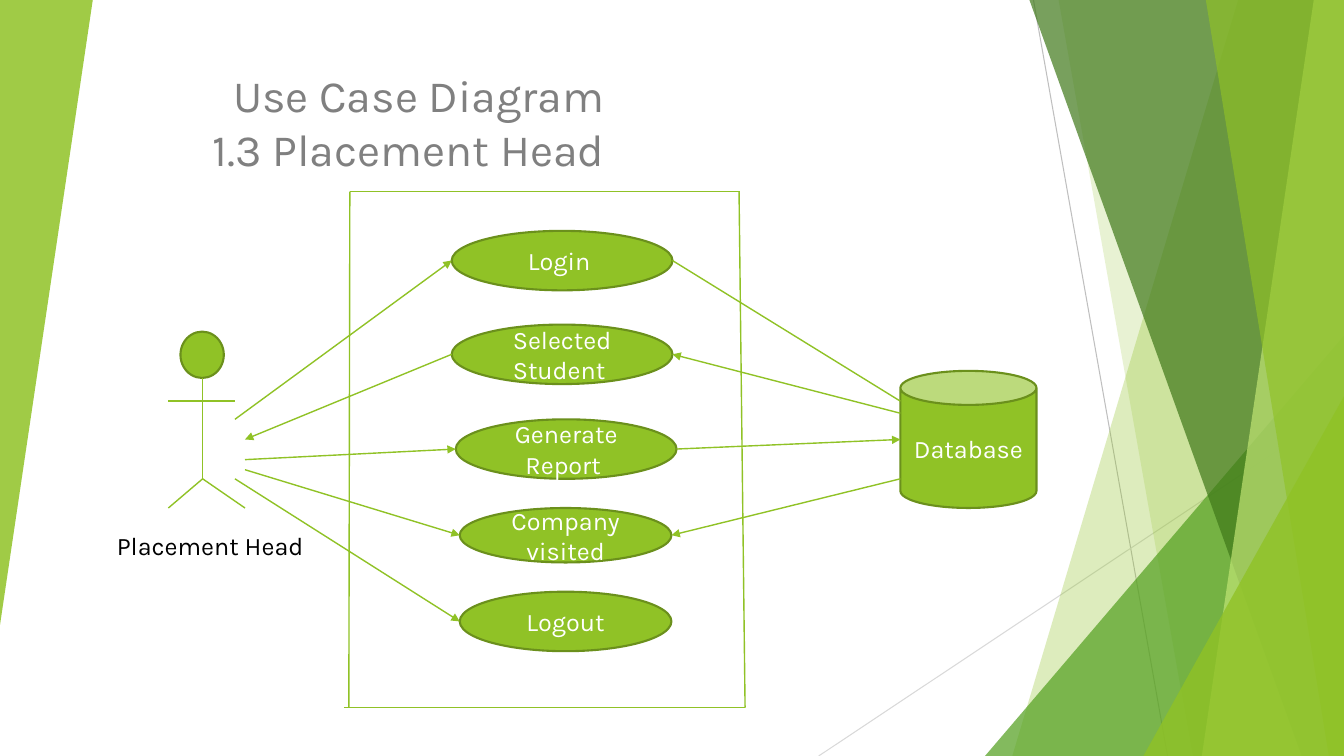
from dataclasses import dataclass
from typing import NamedTuple, Optional

from lxml import etree
from pptx import Presentation
from pptx.dml.color import RGBColor
from pptx.enum.shapes import MSO_CONNECTOR as Conn, MSO_SHAPE as Shape
from pptx.enum.text import MSO_ANCHOR as Anchor, MSO_AUTO_SIZE as Auto, PP_ALIGN as Align
from pptx.oxml.ns import qn
from pptx.util import Inches, Pt

LIME = RGBColor(0x90, 0xC2, 0x26)
LIME_DARK = RGBColor(0x6B, 0x90, 0x1C)
LIME_PALE = RGBColor(0xC0, 0xE4, 0x74)
GREEN = RGBColor(0x54, 0xA0, 0x21)
FOREST = RGBColor(0x3F, 0x78, 0x19)
GRAY = RGBColor(0x80, 0x80, 0x80)
GRAY_LIGHT = RGBColor(0xBF, 0xBF, 0xBF)
GRAY_PALE = RGBColor(0xD9, 0xD9, 0xD9)
BLACK = RGBColor(0, 0, 0)
WHITE = RGBColor(0xFF, 0xFF, 0xFF)
FONT = "Karla"
WIDTH, HEIGHT = 13.33, 7.5


class Point(NamedTuple):
    x: float
    y: float


class Facet(NamedTuple):
    """Translucent band: top and bottom x of its left edge, reaching the slide's right edge."""
    top: float
    bottom: float
    color: RGBColor
    alpha: int


class Corner(NamedTuple):
    """Translucent right triangle in a corner of the slide."""
    left: float
    top: float
    width: float
    height: float
    rotation: int
    color: RGBColor
    alpha: int


@dataclass
class Box:
    text: str
    left: float
    top: float
    width: float
    height: float
    kind: Shape = Shape.OVAL

    @property
    def middle(self) -> float:
        return self.top + self.height / 2

    @property
    def west(self) -> Point:
        return Point(self.left, self.middle)

    @property
    def east(self) -> Point:
        return Point(self.left + self.width, self.middle)


def write(tf, text: str, *, size: int = 18, color: RGBColor = WHITE,
          align: Align = Align.CENTER, anchor: Anchor = Anchor.MIDDLE,
          before: Optional[int] = None) -> None:
    tf.word_wrap = True
    tf.auto_size = Auto.NONE
    tf.vertical_anchor = anchor
    p = tf.paragraphs[0]
    p.text = text
    p.alignment = align
    if before is not None:
        p.space_before = Pt(before)
    for r in p.runs:
        r.font.name = FONT
        r.font.size = Pt(size)
        r.font.color.rgb = color


def paint(s, color: RGBColor, alpha: int) -> None:
    """Fill without outline; alpha is the opacity in percent."""
    s.shadow.inherit = False
    s.fill.solid()
    s.fill.fore_color.rgb = color
    s.line.fill.background()
    clr = s._element.spPr.find(qn("a:solidFill"))[0]
    etree.SubElement(clr, qn("a:alpha"), val=str(alpha * 1000))


def draw_facet(s: Facet) -> None:
    corners = [(WIDTH, 0), (WIDTH, HEIGHT), (s.bottom, HEIGHT)]
    fb = slide.shapes.build_freeform(Inches(s.top), 0)
    fb.add_line_segments([(Inches(x), Inches(y)) for x, y in corners])
    paint(fb.convert_to_shape(), s.color, s.alpha)


def draw_corner(c: Corner) -> None:
    s = slide.shapes.add_shape(Shape.ISOSCELES_TRIANGLE, Inches(c.left), Inches(c.top),
                               Inches(c.width), Inches(c.height))
    s.adjustments[0] = 1
    s.rotation = c.rotation
    paint(s, c.color, c.alpha)


def draw_line(start: Point, end: Point, *, color: RGBColor = LIME,
              width: float = 1, arrow: bool = False) -> None:
    s = slide.shapes.add_connector(Conn.STRAIGHT, Inches(start.x), Inches(start.y),
                                   Inches(end.x), Inches(end.y))
    s.line.color.rgb = color
    s.line.width = Pt(width)
    if arrow:
        etree.SubElement(s.line._get_or_add_ln(), qn("a:tailEnd"), type="triangle")
    etree.SubElement(s._element.spPr, qn("a:effectLst"))


def draw_box(b: Box) -> None:
    s = slide.shapes.add_shape(b.kind, Inches(b.left), Inches(b.top),
                               Inches(b.width), Inches(b.height))
    s.shadow.inherit = False
    s.fill.solid()
    s.fill.fore_color.rgb = LIME
    s.line.color.rgb = LIME_DARK
    s.line.width = Pt(1.5)
    if b.text:
        write(s.text_frame, b.text)


prs = Presentation()
prs.slide_width, prs.slide_height = Inches(WIDTH), Inches(HEIGHT)
slide = prs.slides.add_slide(prs.slide_layouts[5])

# Background facets
draw_line(Point(10.25, 0), Point(11.58, HEIGHT), color=GRAY_LIGHT, width=0.75)
draw_line(Point(WIDTH, 4.03), Point(8.12, HEIGHT), color=GRAY_PALE, width=0.75)
BACKDROP = [
    Facet(12.28, 10.04, LIME, 30),
    Facet(10.5, 11.83, LIME, 20),
    Corner(9.77, 3.33, 3.56, 4.17, 0, GREEN, 72),
    Facet(10.21, 12.91, FOREST, 70),
    Facet(13.03, 11.92, LIME_PALE, 70),
    Facet(11.96, 13.18, LIME, 65),
    Corner(11.34, 3.93, 1.99, 3.57, 0, LIME, 80),
    Corner(0, 0, 0.92, 6.2, 180, LIME, 85),
]
for part in BACKDROP:
    if isinstance(part, Facet):
        draw_facet(part)
    else:
        draw_corner(part)

# Title
title = slide.shapes.title
title.left, title.top = Inches(1.67), Inches(0.62)
title.width, title.height = Inches(4.43), Inches(1.07)
write(title.text_frame, "Use Case Diagram\v1.3 Placement Head", size=32, color=GRAY,
      align=Align.RIGHT, anchor=Anchor.TOP, before=10)

# Use cases and database
login = Box("Login ", 4.48, 2.29, 2.19, 0.59)
selected = Box("Selected Student ", 4.48, 3.22, 2.19, 0.59)
report = Box("Generate Report ", 4.52, 4.16, 2.19, 0.59)
company = Box("Company visited", 4.56, 5.04, 2.1, 0.54)
logout = Box("Logout", 4.56, 5.87, 2.1, 0.59)
database = Box("Database", 8.93, 3.68, 1.35, 1.36, Shape.CAN)
head = Box("", 1.79, 3.29, 0.43, 0.46)
for box in (login, selected, report, company, logout, database, head):
    draw_box(box)

# Actor's body, arms and legs
neck, hip = Point(2.01, 3.75), Point(2.01, 4.75)
draw_line(neck, hip)
draw_line(Point(1.67, 3.98), Point(2.33, 3.98))
for foot in (Point(1.67, 5.04), Point(2.43, 5.04)):
    draw_line(hip, foot)
label = slide.shapes.add_textbox(Inches(1.06), Inches(5.21), Inches(2.19), Inches(0.4))
write(label.text_frame, "Placement Head", color=BLACK, align=Align.LEFT, anchor=Anchor.TOP)

# Links from actor to use cases
draw_line(Point(2.33, 4.16), login.west, arrow=True)
draw_line(selected.west, Point(2.43, 4.36), arrow=True)
draw_line(Point(2.43, 4.56), report.west, arrow=True)
draw_line(Point(2.43, 4.66), company.west, arrow=True)
draw_line(Point(2.33, 4.75), logout.west, arrow=True)

# Links between use cases and database
draw_line(login.east, Point(database.left, 3.98))
draw_line(Point(database.left, 4.1), selected.east, arrow=True)
draw_line(report.east, database.west, arrow=True)
draw_line(Point(database.left, 4.75), company.east, arrow=True)

# System boundary
draw_line(Point(3.47, 1.9), Point(3.46, 7.02))
draw_line(Point(3.47, 1.9), Point(7.34, 1.9))
draw_line(Point(7.33, 1.9), Point(7.39, 7.02))
draw_line(Point(3.41, 7.02), Point(7.39, 7.02))

prs.save("out.pptx")
